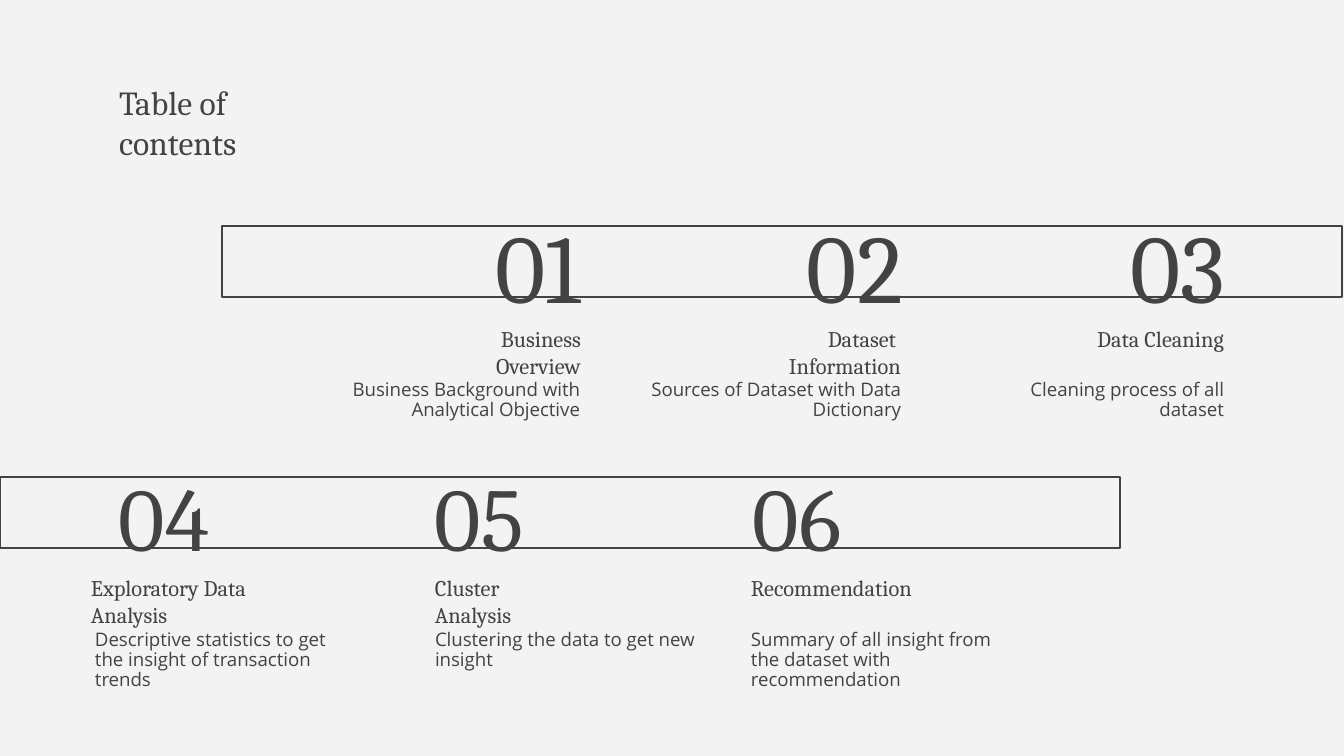
"""Build the table of contents slide with two banded rows of three topics."""
from dataclasses import dataclass
from typing import NamedTuple

from pptx import Presentation
from pptx import util as u
from pptx.dml.color import RGBColor
from pptx.enum import shapes, text

COLORS = {"ink": "434343", "paper": "F3F3F3"}
SERIF, SANS = "Cambria", "Open Sans"
INSET = 13
HEADING_LINE = 27
BOX_HEIGHT = 85
NUMBER_WIDTH = 258


class Span(NamedTuple):
    left: int
    width: int


class Topic(NamedTuple):
    number: str
    heading: list[str]
    detail: str
    number_left: int
    heading_span: Span
    detail_span: Span
    single_line: bool = False


@dataclass
class Row:
    band_left: int
    band_top: int
    number_top: int
    heading_top: int
    detail_top: int
    number_size: int
    align: text.PP_ALIGN
    topics: list[Topic]


ROWS = [
    Row(222, 226, 222, 307, 367, 52, text.PP_ALIGN.RIGHT, [
        Topic("01", ["Business Overview"], "Business Background with Analytical Objective",
              336, Span(422, 172), Span(313, 280)),
        Topic("02", ["Dataset ", "Information"], "Sources of Dataset with Data Dictionary",
              658, Span(583, 331), Span(624, 290)),
        Topic("03", ["Data Cleaning"], "Cleaning process of all dataset",
              980, Span(1025, 212), Span(957, 280), True),
    ]),
    Row(0, 477, 473, 556, 617, 48, text.PP_ALIGN.LEFT, [
        Topic("04", ["Exploratory Data Analysis"],
              "Descriptive statistics to get the insight of transaction trends",
              106, Span(78, 196), Span(82, 280)),
        Topic("05", ["Cluster Analysis"], "Clustering the data to get new insight",
              422, Span(422, 165), Span(422, 290)),
        Topic("06", ["Recommendation"],
              "Summary of all insight from the dataset with recommendation",
              740, Span(738, 258), Span(738, 280), True),
    ]),
]


def px(length: int) -> u.Emu:
    """Convert slide pixels to EMU."""
    return u.Emu(round(length * u.Inches(10) / 1344))


def color(name: str) -> RGBColor:
    """Look up a named colour."""
    return RGBColor.from_string(COLORS[name])


def write(box, lines: list[str], font: str, size: int, align: text.PP_ALIGN,
          anchor: text.MSO_ANCHOR, spacing: float = 1.0, bottom: int = INSET) -> None:
    """Fill a box with one formatted paragraph."""
    frame = box.text_frame
    frame.word_wrap = True
    frame.auto_size = text.MSO_AUTO_SIZE.NONE
    frame.vertical_anchor = anchor
    frame.margin_left = frame.margin_right = frame.margin_top = px(INSET)
    frame.margin_bottom = px(bottom)
    para = frame.paragraphs[0]
    para.alignment = align
    para.line_spacing = spacing
    for index, line in enumerate(lines):
        if index:
            para.add_line_break()
        span = para.add_run()
        span.text = line
        span.font.name = font
        span.font.size = u.Pt(size)
        span.font.color.rgb = color("ink")


def add_box(page, left: int, top: int, width: int):
    """Add a text box of the common height."""
    return page.shapes.add_textbox(px(left), px(top), px(width), px(BOX_HEIGHT))


def draw_band(page, row: Row) -> None:
    """Draw the outlined band behind a row of numbers."""
    band = page.shapes.add_shape(shapes.MSO_SHAPE.RECTANGLE, px(row.band_left),
                                 px(row.band_top), px(1120), px(71))
    band.shadow.inherit = False
    band.fill.background()
    band.line.color.rgb = color("ink")
    band.line.width = u.Pt(0.75)


def draw_topic(page, row: Row, topic: Topic) -> None:
    """Draw the heading, detail and number of a topic."""
    heading = add_box(page, topic.heading_span.left, row.heading_top, topic.heading_span.width)
    write(heading, topic.heading, SERIF, 12, row.align, text.MSO_ANCHOR.BOTTOM,
          bottom=INSET + HEADING_LINE * topic.single_line)
    detail = add_box(page, topic.detail_span.left, row.detail_top, topic.detail_span.width)
    write(detail, [topic.detail], SANS, 10, row.align, text.MSO_ANCHOR.TOP, spacing=0.9)
    number = add_box(page, topic.number_left, row.number_top, NUMBER_WIDTH)
    write(number, [topic.number], SERIF, row.number_size, row.align, text.MSO_ANCHOR.MIDDLE)


def main() -> None:
    """Assemble and save the deck."""
    deck = Presentation()
    deck.slide_width, deck.slide_height = px(1344), px(756)
    page = deck.slides.add_slide(deck.slide_layouts[5])
    page.background.fill.solid()
    page.background.fill.fore_color.rgb = color("paper")

    title = page.shapes.title
    title.left, title.top, title.width, title.height = px(106), px(69), px(258), px(138)
    write(title, ["Table of contents"], SERIF, 18, text.PP_ALIGN.LEFT, text.MSO_ANCHOR.TOP)

    for row in ROWS:
        draw_band(page, row)
    for row in ROWS:
        for topic in row.topics:
            draw_topic(page, row, topic)
    deck.save("out.pptx")


if __name__ == "__main__":
    main()
